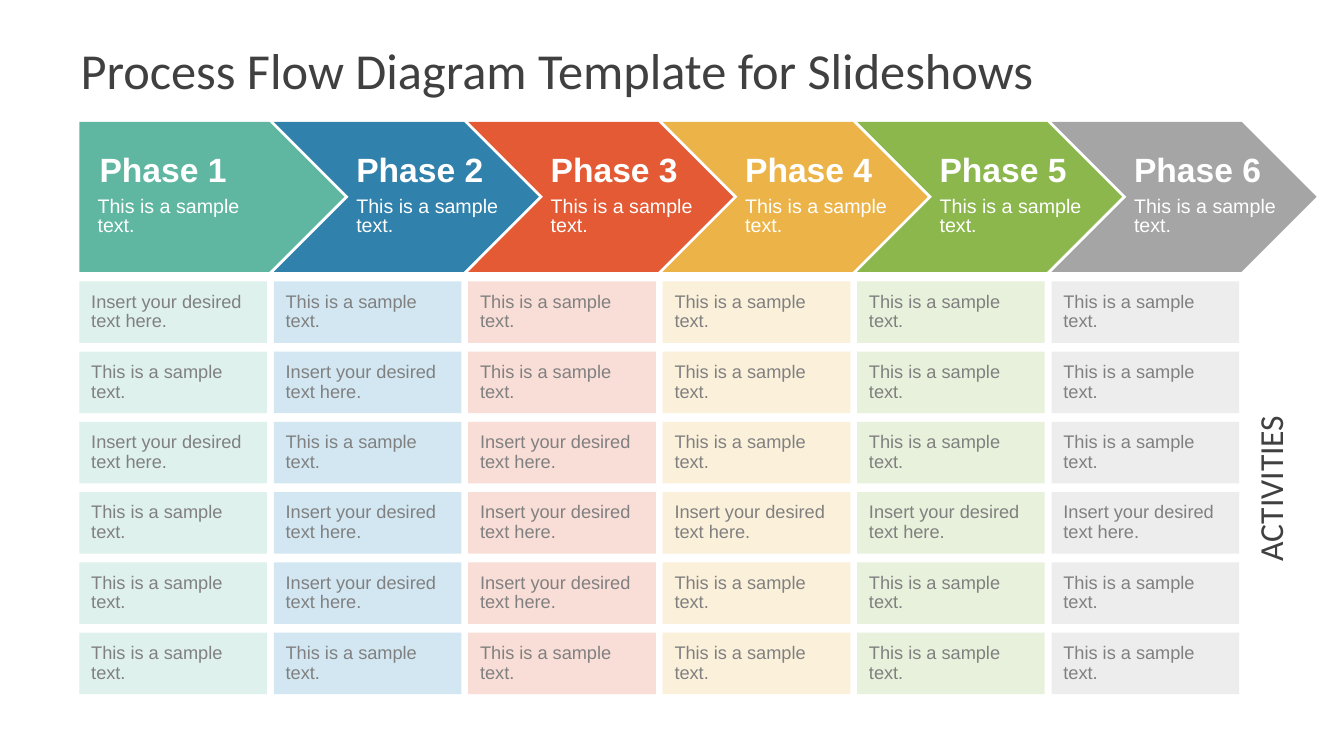
"""Build a process flow slide with six phases and a grid of activities."""
import pptx
import pptx.dml.color
import pptx.enum.shapes
import pptx.enum.text
import pptx.util

Cm = pptx.util.Cm
Pt = pptx.util.Pt
RGBColor = pptx.dml.color.RGBColor
MSO_SHAPE = pptx.enum.shapes.MSO_SHAPE
ANCHOR = pptx.enum.text.MSO_ANCHOR
ALIGN = pptx.enum.text.PP_ALIGN
AUTO_SIZE = pptx.enum.text.MSO_AUTO_SIZE

WHITE = RGBColor(0xFF, 0xFF, 0xFF)
DARK = RGBColor(0x40, 0x40, 0x40)
GRAY = RGBColor(0x80, 0x80, 0x80)
TEAL, PALE_TEAL = RGBColor(0x5F, 0xB7, 0xA2), RGBColor(0xDF, 0xF1, 0xEC)
BLUE, PALE_BLUE = RGBColor(0x30, 0x81, 0xAC), RGBColor(0xD2, 0xE7, 0xF2)
RED, PALE_RED = RGBColor(0xE3, 0x5A, 0x35), RGBColor(0xF9, 0xDE, 0xD7)
GOLD, PALE_GOLD = RGBColor(0xEC, 0xB4, 0x48), RGBColor(0xFB, 0xF0, 0xDA)
GREEN, PALE_GREEN = RGBColor(0x8B, 0xB7, 0x4C), RGBColor(0xE8, 0xF1, 0xDB)
SILVER, PALE_SILVER = RGBColor(0xA5, 0xA5, 0xA5), RGBColor(0xED, 0xED, 0xED)

SAMPLE = "This is a sample text."
INSERT = "Insert your desired text here."
PHASES = [
    (TEAL, PALE_TEAL, {0, 2}),
    (BLUE, PALE_BLUE, {1, 3, 4}),
    (RED, PALE_RED, {2, 3, 4}),
    (GOLD, PALE_GOLD, {3}),
    (GREEN, PALE_GREEN, {3}),
    (SILVER, PALE_SILVER, {3}),
]
ROWS = 6
LEFT, COLUMN_STEP = 2.0, 4.9
ARROW_TOP, ARROW_WIDTH, ARROW_HEIGHT = 3.07, 6.68, 3.78
CELL_TOP, ROW_STEP, CELL_WIDTH, CELL_HEIGHT = 7.09, 1.77, 4.73, 1.55


def write(tf, text, size, color, font="Arial", bold=False, align=ALIGN.LEFT,
          spacing=1.0, anchor=ANCHOR.TOP, wrap=True, insets=(0.25, 0.13),
          auto_size=AUTO_SIZE.NONE):
    tf.auto_size = auto_size
    tf.word_wrap = wrap
    tf.vertical_anchor = anchor
    tf.margin_left = tf.margin_right = Cm(insets[0])
    tf.margin_top = tf.margin_bottom = Cm(insets[1])
    p = tf.paragraphs[0]
    p.alignment = align
    p.line_spacing = spacing
    r = p.add_run()
    r.text = text
    r.font.name = font
    r.font.size = Pt(size)
    r.font.bold = bold
    r.font.color.rgb = color


class FlowSlide:
    def __init__(self, prs):
        self.s = prs.slides.add_slide(prs.slide_layouts[5])
        self.heading = dict(size=24, color=WHITE, bold=True, anchor=ANCHOR.BOTTOM)
        self.caption = dict(size=14, color=WHITE, spacing=0.8)
        self.activity = dict(size=13, color=GRAY, spacing=0.9,
                             anchor=ANCHOR.MIDDLE, insets=(0.3, 0.13))

    def title(self, text, x, y, w, h):
        sp = self.s.shapes.title
        sp.left, sp.top, sp.width, sp.height = Cm(x), Cm(y), Cm(w), Cm(h)
        write(sp.text_frame, text, 36, DARK, font="Calibri",
              anchor=ANCHOR.MIDDLE, insets=(0.33, 0.18))

    def shape(self, kind, x, y, w, h, fill):
        sp = self.s.shapes.add_shape(kind, Cm(x), Cm(y), Cm(w), Cm(h))
        sp.shadow.inherit = False
        sp.fill.solid()
        sp.fill.fore_color.rgb = fill
        sp.line.fill.background()
        return sp

    def label(self, text, x, y, w, h, rotation=0, **fmt):
        sp = self.s.shapes.add_textbox(Cm(x), Cm(y), Cm(w), Cm(h))
        sp.rotation = rotation
        write(sp.text_frame, text, auto_size=AUTO_SIZE.SHAPE_TO_FIT_TEXT, **fmt)

    def phase(self, column, color):
        x = LEFT + column * COLUMN_STEP
        kind = MSO_SHAPE.CHEVRON if column else MSO_SHAPE.PENTAGON
        self.shape(kind, x, ARROW_TOP, ARROW_WIDTH, ARROW_HEIGHT, color)
        heading_x, caption_x, w = (x + 1.83, x + 1.83, 4.12) if column else (x + 0.26, x + 0.21, 4.5)
        self.label(f"Phase {column + 1}", heading_x, 3.61, w, 1.28, **self.heading)
        self.label(SAMPLE, caption_x, 4.88, w, 1.22, **self.caption)

    def cell(self, column, row, text, color):
        sp = self.shape(MSO_SHAPE.RECTANGLE, LEFT + column * COLUMN_STEP,
                        CELL_TOP + row * ROW_STEP, CELL_WIDTH, CELL_HEIGHT, color)
        write(sp.text_frame, text, **self.activity)


def main():
    prs = pptx.Presentation()
    prs.slide_width, prs.slide_height = Cm(33.87), Cm(19.05)
    flow = FlowSlide(prs)
    flow.title("Process Flow Diagram Template for Slideshows", 1.7, 0.76, 30.48, 1.98)
    for column, (color, pale, insert_rows) in enumerate(PHASES):
        flow.phase(column, color)
        for row in range(ROWS):
            flow.cell(column, row, INSERT if row in insert_rows else SAMPLE, pale)
    flow.label("ACTIVITIES", 29.77, 11.79, 4.22, 1.04, rotation=270, size=24,
               color=DARK, font="Calibri", align=ALIGN.CENTER, wrap=False)
    prs.save("out.pptx")


if __name__ == "__main__":
    main()
